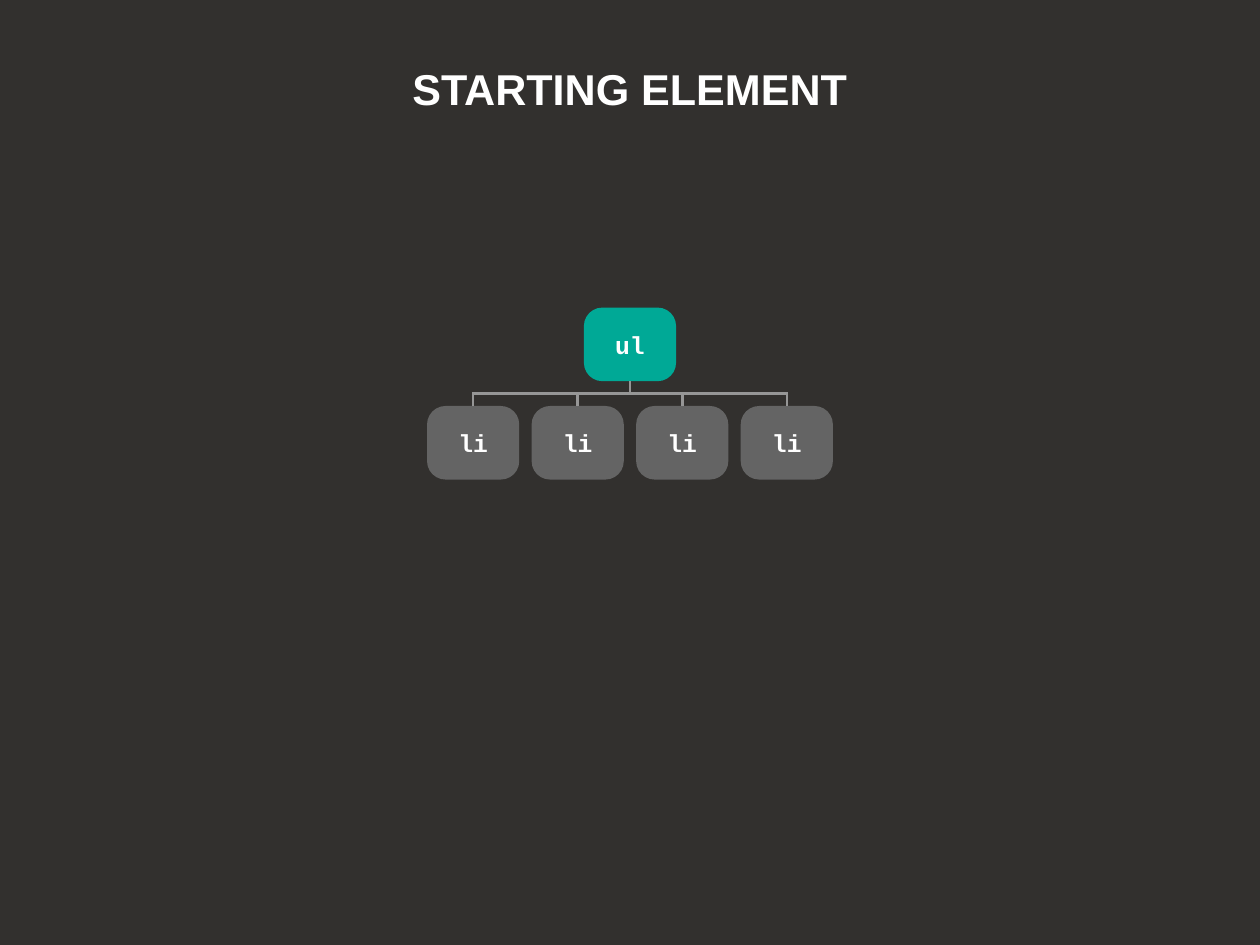
from dataclasses import dataclass

from lxml.etree import SubElement
from pptx import Presentation
from pptx.dml.color import RGBColor
from pptx.enum.shapes import MSO_CONNECTOR, MSO_SHAPE
from pptx.enum.text import MSO_ANCHOR, PP_ALIGN
from pptx.oxml.ns import qn
from pptx.util import Emu, Pt

SCALE = 9144  # EMU per px, 100 px to the inch
WIDE, HIGH = 1422, 1066


@dataclass(frozen=True)
class Theme:
    back: str = "32302E"
    root: str = "00A996"
    leaf: str = "646464"
    line: str = "969696"
    ink: str = "FFFFFF"
    head_font: str = "Arial"
    code_font: str = "Courier New"
    head_size: int = 35
    code_size: int = 20
    line_size: int = 2


THEME = Theme()


def px(n):
    return Emu(round(n * SCALE))


def rgb(code):
    return RGBColor.from_string(code)


def write(shape, text, font, size):
    frame = shape.text_frame
    frame.word_wrap = True
    frame.vertical_anchor = MSO_ANCHOR.MIDDLE
    frame.margin_left = frame.margin_right = 0
    frame.margin_top = frame.margin_bottom = 0
    para = frame.paragraphs[0]
    para.alignment = PP_ALIGN.CENTER
    run = para.add_run()
    run.text = text
    run.font.name = font
    run.font.size = Pt(size)
    run.font.bold = True
    run.font.color.rgb = rgb(THEME.ink)
    return para


def add_node(slide, box, text, fill):
    node = slide.shapes.add_shape(MSO_SHAPE.ROUNDED_RECTANGLE, *map(px, box))
    node.adjustments[0] = 0.25
    node.shadow.inherit = False
    node.fill.solid()
    node.fill.fore_color.rgb = rgb(fill)
    node.line.fill.background()
    write(node, text, THEME.code_font, THEME.code_size)


def add_line(slide, *ends):
    line = slide.shapes.add_connector(MSO_CONNECTOR.STRAIGHT, *map(px, ends))
    line.line.color.rgb = rgb(THEME.line)
    line.line.width = Pt(THEME.line_size)
    SubElement(line._element.spPr, qn("a:effectLst"))


def add_title(slide, box, text):
    title = slide.shapes.add_textbox(*map(px, box))
    para = write(title, text, THEME.head_font, THEME.head_size)
    para.line_spacing = 0.9


def add_tree(slide, box, root, leaves):
    left, top, width, height = box
    node_w, node_h = 104, 83
    step = (width - node_w) / (len(leaves) - 1)
    mid = left + width / 2
    row = top + height - node_h
    base = top + node_h
    rail = (base + row) / 2

    # Root and its stem
    add_node(slide, (mid - node_w / 2, top, node_w, node_h), root, THEME.root)
    add_line(slide, mid, base, mid, rail)

    # Leaves, each hung from the rail
    for i, leaf in enumerate(leaves):
        x = left + i * step
        add_node(slide, (x, row, node_w, node_h), leaf, THEME.leaf)
        add_line(slide, x + node_w / 2, rail, x + node_w / 2, row)

    # Rail, run past the outer drops by half a line
    first, last = left + node_w / 2, left + width - node_w / 2
    add_line(slide, first - 1, rail, last + 1, rail)


def main():
    deck = Presentation()
    deck.slide_width, deck.slide_height = px(WIDE), px(HIGH)
    slide = deck.slides.add_slide(deck.slide_layouts[6])
    slide.background.fill.solid()
    slide.background.fill.fore_color.rgb = rgb(THEME.back)
    add_title(slide, (0, 69, WIDE, 69), "STARTING ELEMENT")
    add_tree(slide, (482, 347, 458, 194), "ul", ["li"] * 4)
    deck.save("out.pptx")


if __name__ == "__main__":
    main()
